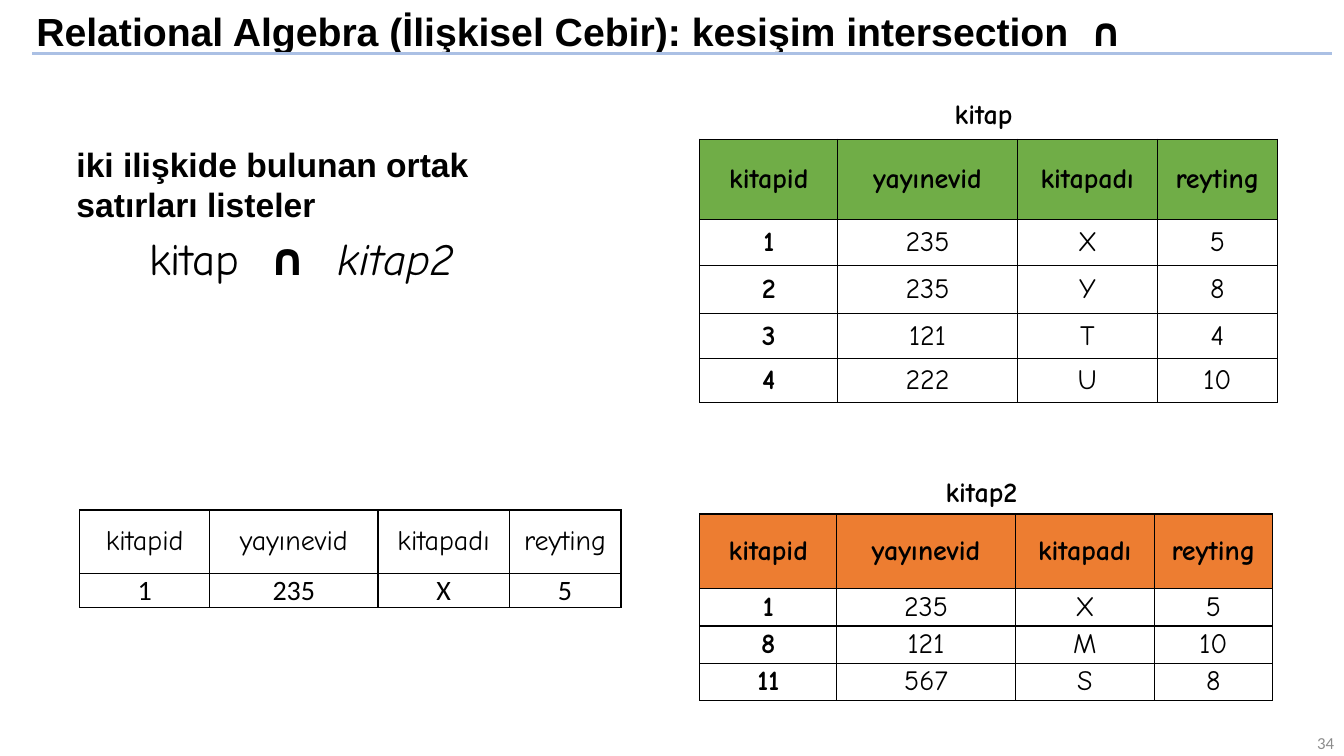
from dataclasses import dataclass

import lxml.etree
import pptx
import pptx.dml.color
import pptx.enum.shapes
import pptx.enum.text
import pptx.oxml.ns
import pptx.util

Inches = pptx.util.Inches
Pt = pptx.util.Pt
ALIGN = pptx.enum.text.PP_ALIGN
ANCHOR = pptx.enum.text.MSO_ANCHOR
qn = pptx.oxml.ns.qn


@dataclass(frozen=True)
class Theme:
    ink: str = "000000"
    paper: str = "FFFFFF"
    rule: str = "ABC0E4"
    muted: str = "8C8C8C"
    green: str = "70AD47"
    orange: str = "ED7D31"
    heading: str = "Arial"
    body: str = "Comic Neue"
    plain: str = "Calibri"
    title: int = 28
    formula: int = 32
    lead: int = 24
    cell: int = 20
    number: int = 12


def rgb(value):
    return pptx.dml.color.RGBColor.from_string(value)


def add_run(p, text, *, font, size, color, bold=False, italic=False):
    r = p.add_run()
    r.text = text
    r.font.name = font
    r.font.size = Pt(size)
    r.font.color.rgb = rgb(color)
    r.font.bold = bold
    r.font.italic = italic


class SlideBuilder:
    """Hold the theme and the current slide, and add each kind of element."""

    def __init__(self, prs, theme):
        self.theme = theme
        self.slide = prs.slides.add_slide(prs.slide_layouts[5])

    def fill_text(self, tf, runs, align, anchor):
        tf.word_wrap = True
        tf.vertical_anchor = anchor
        p = tf.paragraphs[0]
        p.alignment = align
        for text, style in runs:
            add_run(p, text, **{"color": self.theme.ink, **style})
        return p

    def title(self, box, runs):
        sp = self.slide.shapes.title
        sp.left, sp.top, sp.width, sp.height = map(Inches, box)
        sp.fill.solid()
        sp.fill.fore_color.rgb = rgb(self.theme.paper)
        tf = sp.text_frame
        tf.auto_size = pptx.enum.text.MSO_AUTO_SIZE.NONE
        p = self.fill_text(tf, runs, ALIGN.LEFT, ANCHOR.MIDDLE)
        p.line_spacing = 0.9
        p.space_before = Pt(0)
        p.space_after = Pt(6)

    def text(self, box, runs, align=ALIGN.LEFT, anchor=ANCHOR.TOP):
        sp = self.slide.shapes.add_textbox(*map(Inches, box))
        self.fill_text(sp.text_frame, runs, align, anchor)

    def rule(self, x1, x2, y):
        line = self.slide.shapes.add_connector(
            pptx.enum.shapes.MSO_CONNECTOR.STRAIGHT,
            Inches(x1), Inches(y), Inches(x2), Inches(y))
        line.line.color.rgb = rgb(self.theme.rule)
        line.line.width = Pt(1.75)
        lxml.etree.SubElement(line._element.spPr, qn("a:effectLst"))

    def borders(self, cell):
        tc_pr = cell._tc.get_or_add_tcPr()
        for side in ("lnL", "lnR", "lnT", "lnB"):
            ln = lxml.etree.SubElement(tc_pr, qn(f"a:{side}"), w=str(Pt(1)))
            fill = lxml.etree.SubElement(ln, qn("a:solidFill"))
            lxml.etree.SubElement(fill, qn("a:srgbClr"), val=self.theme.ink)

    def table(self, left, top, widths, heights, rows, header_fill=None, body_font=None):
        t = self.theme
        table = self.slide.shapes.add_table(
            len(heights), len(widths), Inches(left), Inches(top),
            Inches(sum(widths)), Inches(sum(heights))).table
        table.first_row = table.horz_banding = False
        for column, width in zip(table.columns, widths):
            column.width = Inches(width)
        for row, height in zip(table.rows, heights):
            row.height = Inches(height)
        for i, values in enumerate(rows):
            for j, value in enumerate(values):
                cell = table.cell(i, j)
                cell.margin_left = cell.margin_right = Inches(0.05)
                cell.margin_top = cell.margin_bottom = 0
                cell.vertical_anchor = ANCHOR.MIDDLE
                self.borders(cell)
                cell.fill.solid()
                cell.fill.fore_color.rgb = rgb(header_fill if header_fill and i == 0 else t.paper)
                p = cell.text_frame.paragraphs[0]
                p.alignment = ALIGN.CENTER
                add_run(p, value, font=body_font if body_font and i else t.body,
                        size=t.cell, color=t.ink,
                        bold=bool(header_fill) and (i == 0 or j == 0))


def main():
    prs = pptx.Presentation()
    prs.slide_width, prs.slide_height = Inches(13.33), Inches(7.5)
    t = Theme()
    s = SlideBuilder(prs, t)

    title = dict(font=t.heading, size=t.title, bold=True)
    s.title((0.26, 0.04, 11.79, 0.59), [
        ("Relational Algebra (İlişkisel Cebir): kesişim intersection  ", title),
        ("∩", {**title, "font": t.body})])
    s.rule(0.32, 13.21, 0.53)

    label = dict(font=t.body, size=t.cell, bold=True)
    s.text((9.37, 0.91, 0.87, 0.44), [("kitap", label)])
    s.text((9.28, 4.66, 1.04, 0.44), [("kitap2", label)])

    header = ("kitapid", "yayınevid", "kitapadı", "reyting")
    s.table(6.94, 1.38, (1.37, 1.78, 1.39, 1.19), (0.8, 0.45, 0.48, 0.45, 0.43), [
        header,
        ("1", "235", "X", "5"),
        ("2", "235", "Y", "8"),
        ("3", "121", "T", "4"),
        ("4", "222", "U", "10")], header_fill=t.green)
    s.table(6.94, 5.1, (1.36, 1.77, 1.38, 1.17), (0.74, 0.37, 0.37, 0.37), [
        header,
        ("1", "235", "X", "5"),
        ("8", "121", "M", "10"),
        ("11", "567", "S", "8")], header_fill=t.orange)

    formula = dict(font=t.body, size=t.formula)
    s.text((1.38, 2.24, 3.72, 0.64), [
        ("kitap  ", formula),
        ("∩  ", {**formula, "bold": True}),
        ("kitap2", {**formula, "italic": True})], ALIGN.JUSTIFY)
    s.text((0.66, 1.38, 5.22, 0.5), [
        ("iki ilişkide bulunan ortak satırları listeler",
         dict(font=t.heading, size=t.lead, bold=True))])
    s.table(0.79, 5.06, (1.29, 1.67, 1.3, 1.11), (0.63, 0.33), [
        header,
        ("1", "235", "X", "5")], body_font=t.plain)

    s.text((10.33, 7.23, 3, 0.27), [
        ("34", dict(font=t.plain, size=t.number, color=t.muted))],
        ALIGN.RIGHT, ANCHOR.MIDDLE)
    prs.save("out.pptx")


if __name__ == "__main__":
    main()
